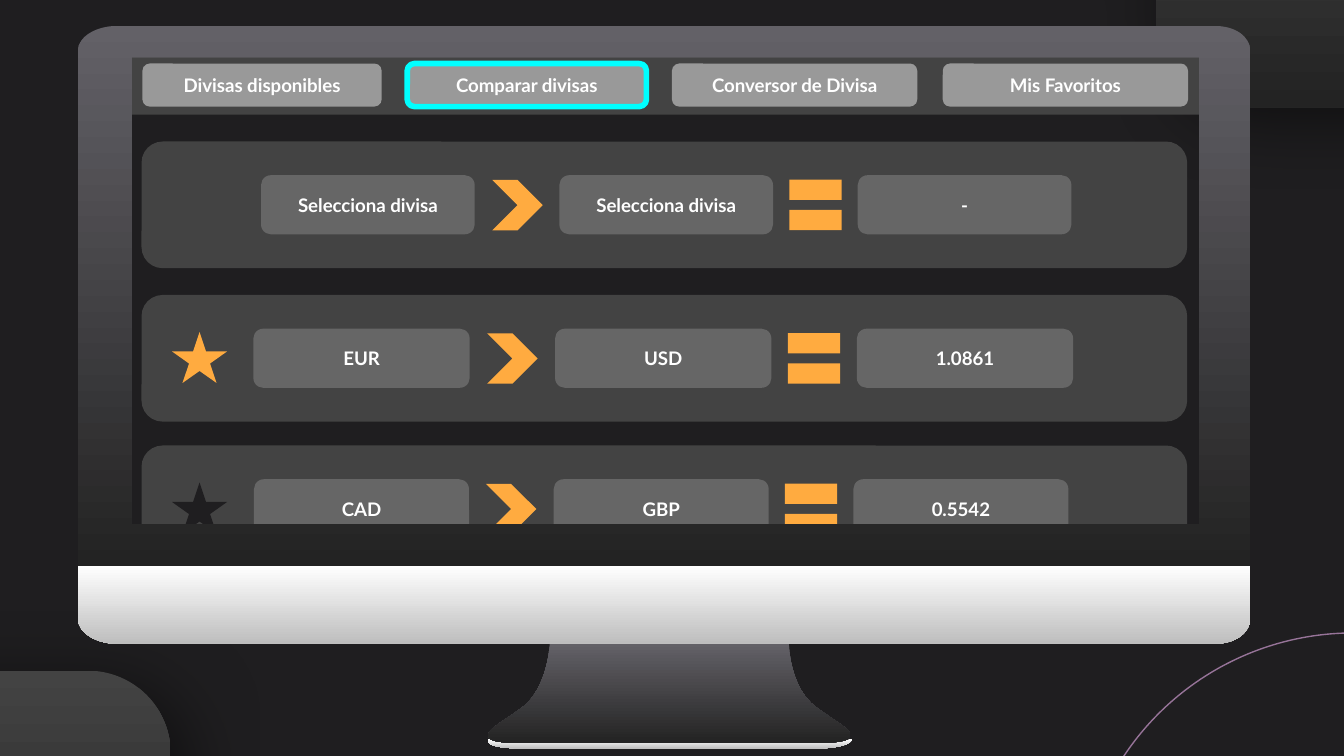
from lxml.etree import SubElement
from pptx import Presentation
from pptx.dml.color import RGBColor
from pptx.enum.shapes import MSO_SHAPE
from pptx.enum.text import MSO_ANCHOR, PP_ALIGN
from pptx.oxml.ns import qn
from pptx.util import Inches, Pt

THEME = {
    "background": "1F1E20",
    "panel": "434343",
    "cell": "666666",
    "tab": "999999",
    "accent": "FFAB40",
    "highlight": "00FFFF",
    "ring": "977499",
    "dark_metal": ("636167", "232323"),
    "light_metal": ("FFFFFF", "BEBEBE"),
    "block": ("434343", "232323"),
    "text": {"name": "Lato", "size": Pt(10), "bold": True},
    "text_color": RGBColor(255, 255, 255),
}

presentation = Presentation()
presentation.slide_width = Inches(10)
presentation.slide_height = presentation.slide_width * 9 // 16
slide = presentation.slides.add_slide(presentation.slide_layouts[6])
slide.background.fill.solid()
slide.background.fill.fore_color.rgb = RGBColor.from_string(THEME["background"])
unit = presentation.slide_width / 100


def paint(shape, fill):
    shape.shadow.inherit = False
    shape.line.fill.background()
    if fill is None:
        shape.fill.background()
    elif isinstance(fill, tuple):
        shape.fill.gradient()
        shape.fill.gradient_angle = 270
        for stop, color, position in zip(shape.fill.gradient_stops, fill, (0, 1)):
            stop.color.rgb = RGBColor.from_string(color)
            stop.position = position
    else:
        shape.fill.solid()
        shape.fill.fore_color.rgb = RGBColor.from_string(fill)


def add_box(parent, kind, box, fill, text=None):
    shape = parent.add_shape(kind, *(round(value * unit) for value in box))
    paint(shape, fill)
    if text:
        frame = shape.text_frame
        margins = {f"margin_{side}": Inches(0.1) for side in ("left", "top", "right", "bottom")}
        for name, value in {**margins, "vertical_anchor": MSO_ANCHOR.MIDDLE, "word_wrap": True}.items():
            setattr(frame, name, value)
        paragraph = frame.paragraphs[0]
        paragraph.alignment = PP_ALIGN.CENTER
        run = paragraph.add_run()
        run.text = text
        for name, value in THEME["text"].items():
            setattr(run.font, name, value)
        run.font.color.rgb = THEME["text_color"]
    return shape


rounded = MSO_SHAPE.ROUNDED_RECTANGLE
blocks = [add_box(slide.shapes, rounded, (-10, 49.9, 22.7, 21.2), THEME["block"])]
ring = add_box(slide.shapes, MSO_SHAPE.OVAL, (80.2, 47.1, 41, 41), None)
ring.line.color.rgb = RGBColor.from_string(THEME["ring"])
ring.line.width = Pt(0.75)
blocks.append(add_box(slide.shapes, rounded, (86, -13.2, 22.7, 21.2), THEME["block"]))
for block in blocks:
    block.adjustments[0] = 0.29
    effects = block._element.spPr.find(qn("a:effectLst"))
    shadow = SubElement(effects, qn("a:outerShdw"), blurRad=str(Pt(39.4)), dist=str(Pt(11.2)),
                        dir=str(40 * 60000), algn="bl", rotWithShape="0")
    shadow_color = SubElement(shadow, qn("a:srgbClr"), val="000000")
    SubElement(shadow_color, qn("a:alpha"), val="50000")

rows = [
    (33.15, 18.9, 22.3, 16, 36.15, 57.7, "background", ("CAD", "GBP", "0.5542")),
    (10.53, 19.42, 22.2, 15.9, 36.63, 58.03, None, ("Selecciona divisa", "Selecciona divisa", "-")),
    (21.95, 18.85, 22.45, 16.1, 36.25, 57.92, "accent", ("EUR", "USD", "1.0861")),
]
row_groups = []
for top, first_left, pitch, width, chevron_left, equal_left, star_color, labels in rows:
    row_group = slide.shapes.add_group_shape()
    row_groups.append(row_group)
    group = row_group.shapes
    add_box(group, rounded, (10.53, top, 77.8, 9.42), THEME["panel"])
    for index, label in enumerate(labels):
        add_box(group, rounded, (first_left + index * pitch, top + 2.51, width, 4.4), THEME["cell"], label)
    add_box(group, MSO_SHAPE.CHEVRON, (chevron_left, top + 2.85, 3.75, 3.75), THEME["accent"])
    add_box(group, MSO_SHAPE.MATH_EQUAL, (equal_left, top + 1.52, 5.3, 6.4), THEME["accent"])
    if star_color:
        add_box(group, MSO_SHAPE.STAR_5_POINT, (12.8, top + 2.75, 4.1, 3.8), THEME[star_color])

navigation = add_box(slide.shapes, rounded, (9.7, 4.13, 79.6, 4.4), THEME["panel"])
navigation.adjustments[0] = 0

foot = [(36.3, 55), (36.3, 55.1), (36.3, 55.1), (36.3, 55.1), (36.3, 55.5, 37.2, 55.7, 39.3, 55.7),
        (60.5, 55.7), (62.6, 55.7, 63.4, 55.3, 63.4, 55), (63.1, 55),
        (62.7, 55.2, 61.9, 55.3, 60.4, 55.3), (39.2, 55.3), (37.6, 55.3, 36.8, 55.2, 36.5, 55)]
neck = [(40.9, 47.9), (40.9, 47.9, 40.8, 51.1, 38.9, 52.6), (37.6, 53.6, 35.7, 54.5, 36.5, 55),
        (36.8, 55.2, 37.6, 55.3, 39.2, 55.3), (60.4, 55.3), (61.9, 55.3, 62.7, 55.2, 63.1, 55),
        (63.9, 54.5, 62, 53.6, 60.7, 52.6), (58.7, 51.1, 58.7, 47.9, 58.7, 47.9)]
chin = [(5.8, 42.1), (5.8, 46), (5.8, 47.1, 7.2, 47.9, 8.7, 47.9), (90.4, 47.9),
        (91.9, 47.9, 93.03, 47.1, 93.03, 46), (93.03, 42.1)]
screen = [(89.23, 4.27), (89.23, 39), (9.8, 39), (9.8, 4.27)]
bezel = [(8.7, 1.93), (7.2, 1.93, 5.8, 2.7, 5.8, 3.8), (5.8, 42.1), (93.03, 42.1), (93.03, 3.8),
         (93.03, 2.7, 91.9, 1.93, 90.4, 1.93)]
monitor = slide.shapes.add_group_shape().shapes
for contours, fill in (((foot,), "light_metal"), ((neck,), "dark_metal"),
                       ((chin,), "light_metal"), ((screen, bezel), "dark_metal")):
    builder = None
    for contour in contours:
        start, *others = [(round(segment[index] * unit), round(segment[index + 1] * unit))
                          for segment in contour for index in range(0, len(segment), 2)]
        if builder is None:
            builder = monitor.build_freeform(*start)
        else:
            builder.move_to(*start)
        builder.add_line_segments(others, close=True)
    part = builder.convert_to_shape()
    lines = iter(list(part._element.iter(qn("a:lnTo"))))
    for segment in [segment for contour in contours for segment in contour[1:]]:
        line = next(lines)
        if len(segment) == 6:
            curve = line.makeelement(qn("a:cubicBezTo"))
            line.addprevious(curve)
            for control in (line, next(lines), next(lines)):
                curve.append(control[0])
                control.getparent().remove(control)
    paint(part, THEME[fill])

tabs = [(10.6, 17.8, "Divisas disponibles"), (30.3, 17.8, "Comparar divisas"),
        (50, 18.25, "Conversor de Divisa"), (70.15, 18.25, "Mis Favoritos")]
for left, width, label in tabs:
    tab = add_box(slide.shapes, rounded, (left, 4.73, width, 3.2), THEME["tab"], label)
    if label == "Comparar divisas":
        tab.line.color.rgb = RGBColor.from_string(THEME["highlight"])
        tab.line.width = Pt(3)

for row_group in row_groups[1:]:
    slide.shapes._spTree.append(row_group._element)

presentation.save("out.pptx")
